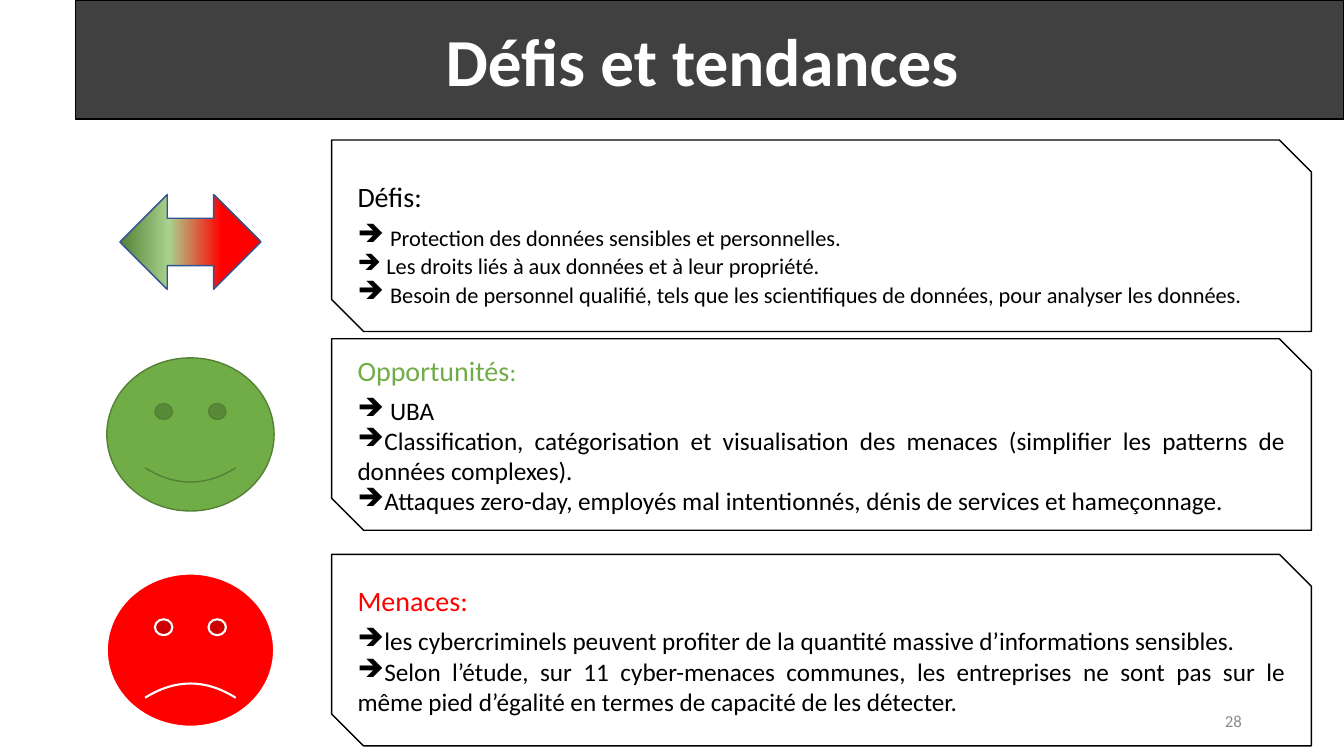
from lxml.etree import SubElement
from pptx import Presentation
from pptx.dml.color import RGBColor
from pptx.enum.shapes import MSO_SHAPE
from pptx.enum.text import MSO_ANCHOR, MSO_AUTO_SIZE, PP_ALIGN
from pptx.oxml.ns import qn
from pptx.util import Pt

BLACK = RGBColor(0x00, 0x00, 0x00)
WHITE = RGBColor(0xFF, 0xFF, 0xFF)
DARK = RGBColor(0x40, 0x40, 0x40)
GRAY = RGBColor(0x8C, 0x8C, 0x8C)
GREEN = RGBColor(0x70, 0xAD, 0x47)
MOSS = RGBColor(0x53, 0x80, 0x35)
LEAF = RGBColor(0x54, 0x82, 0x35)
PALE = RGBColor(0xA9, 0xD1, 0x8E)
RED = RGBColor(0xFF, 0x00, 0x00)
BLUE = RGBColor(0x32, 0x54, 0x91)

LEFT, JUST = PP_ALIGN.LEFT, PP_ALIGN.JUSTIFY


def paint(shape, fill, line, width):
    shape.shadow.inherit = False
    shape.fill.solid()
    shape.fill.fore_color.rgb = fill
    shape.line.color.rgb = line
    shape.line.width = Pt(width)


def style(run, size, color):
    run.font.name = "Calibri"
    run.font.size = Pt(size)
    run.font.color.rgb = color


deck = Presentation()
deck.slide_width, deck.slide_height = Pt(960), Pt(540)
slide = deck.slides.add_slide(deck.slide_layouts[5])
shapes = slide.shapes

title = shapes.title
title.left, title.top, title.width, title.height = Pt(54), Pt(0), Pt(906), Pt(85)
paint(title, DARK, BLACK, 1)
frame = title.text_frame
frame.text = "Défis et tendances "
frame.auto_size = MSO_AUTO_SIZE.NONE
frame.vertical_anchor = MSO_ANCHOR.MIDDLE
frame.paragraphs[0].alignment = PP_ALIGN.CENTER
style(frame.paragraphs[0].runs[0], 48, WHITE)
frame.paragraphs[0].runs[0].font.bold = True

cards = [
    (100, BLACK, 1.5, LEFT, [("Défis:", 20)], [
        (LEFT, [(" ", 18), ("Protection des données sensibles et personnelles.", 16)]),
        (LEFT, [(" Les droits liés à aux données et à leur propriété.", 16)]),
        (LEFT, [(" ", 18), ("Besoin de personnel qualifié, tels que les scientifiques "
                            "de données, pour analyser les données.", 16)]),
    ]),
    (242, GREEN, 1, JUST, [("Opportunités", 20), (":", 18)], [
        (JUST, [(" UBA", 18)]),
        (JUST, [("Classification, catégorisation et visualisation des menaces "
                 "(simplifier les patterns de données complexes).", 18)]),
        (JUST, [("Attaques zero-day, employés mal intentionnés, "
                 "dénis de services et hameçonnage.", 18)]),
    ]),
    (396, RED, 1, LEFT, [("Menaces:", 20)], [
        (LEFT, [("les cybercriminels peuvent profiter de la quantité massive "
                 "d’informations sensibles.", 18)]),
        (JUST, [("Selon l’étude, sur 11 cyber-menaces communes, les entreprises ne sont "
                 "pas sur le même pied d’égalité en termes de capacité de les détecter.", 18)]),
    ]),
]
for top, color, space, align, head, items in cards:
    card = shapes.add_shape(MSO_SHAPE.SNIP_2_DIAG_RECTANGLE,
                            Pt(236.9), Pt(top), Pt(699.8), Pt(136.8))
    paint(card, WHITE, BLACK, 1)
    frame = card.text_frame
    frame.word_wrap = True
    frame.vertical_anchor = MSO_ANCHOR.MIDDLE
    for n, (side, parts) in enumerate([(align, head)] + items):
        para = frame.add_paragraph() if n else frame.paragraphs[0]
        para.alignment = side
        if n:
            props = para._p.get_or_add_pPr()
            props.set("marL", "0")
            props.set("indent", "0")
            SubElement(props, qn("a:buChar")).set("char", "➔")
        else:
            para.line_spacing = space
            para.space_after = Pt(6)
        for text, size in parts:
            run = para.add_run()
            run.text = text
            style(run, size, BLACK if n else color)

for top, fill, line, width, bend in [(255.6, GREEN, MOSS, 1, 0.0465),
                                     (409.7, RED, WHITE, 1.5, -0.0465)]:
    face = shapes.add_shape(MSO_SHAPE.SMILEY_FACE, Pt(76.3), Pt(top), Pt(119.5), Pt(109.4))
    paint(face, fill, line, width)
    face.adjustments[0] = bend

arrow = shapes.add_shape(MSO_SHAPE.UP_DOWN_ARROW, Pt(102.2), Pt(122.4), Pt(67.7), Pt(100.8))
paint(arrow, RED, BLUE, 1)
arrow.rotation = 270
arrow.fill.gradient()
grad = arrow._element.spPr.find(qn("a:gradFill"))
stops = grad.find(qn("a:gsLst"))
stops.clear()
for spot, color in [(0, LEAF), (35, PALE), (72, RED), (100, RED)]:
    stop = SubElement(stops, qn("a:gs"))
    stop.set("pos", str(spot * 1000))
    SubElement(stop, qn("a:srgbClr")).set("val", str(color))
grad.find(qn("a:lin")).set("ang", "5400000")

page = shapes.add_textbox(Pt(678.2), Pt(500.4), Pt(216), Pt(28.8))
frame = page.text_frame
frame.word_wrap = True
frame.vertical_anchor = MSO_ANCHOR.MIDDLE
frame.text = "28"
frame.paragraphs[0].alignment = PP_ALIGN.RIGHT
style(frame.paragraphs[0].runs[0], 12, GRAY)

deck.save("out.pptx")
